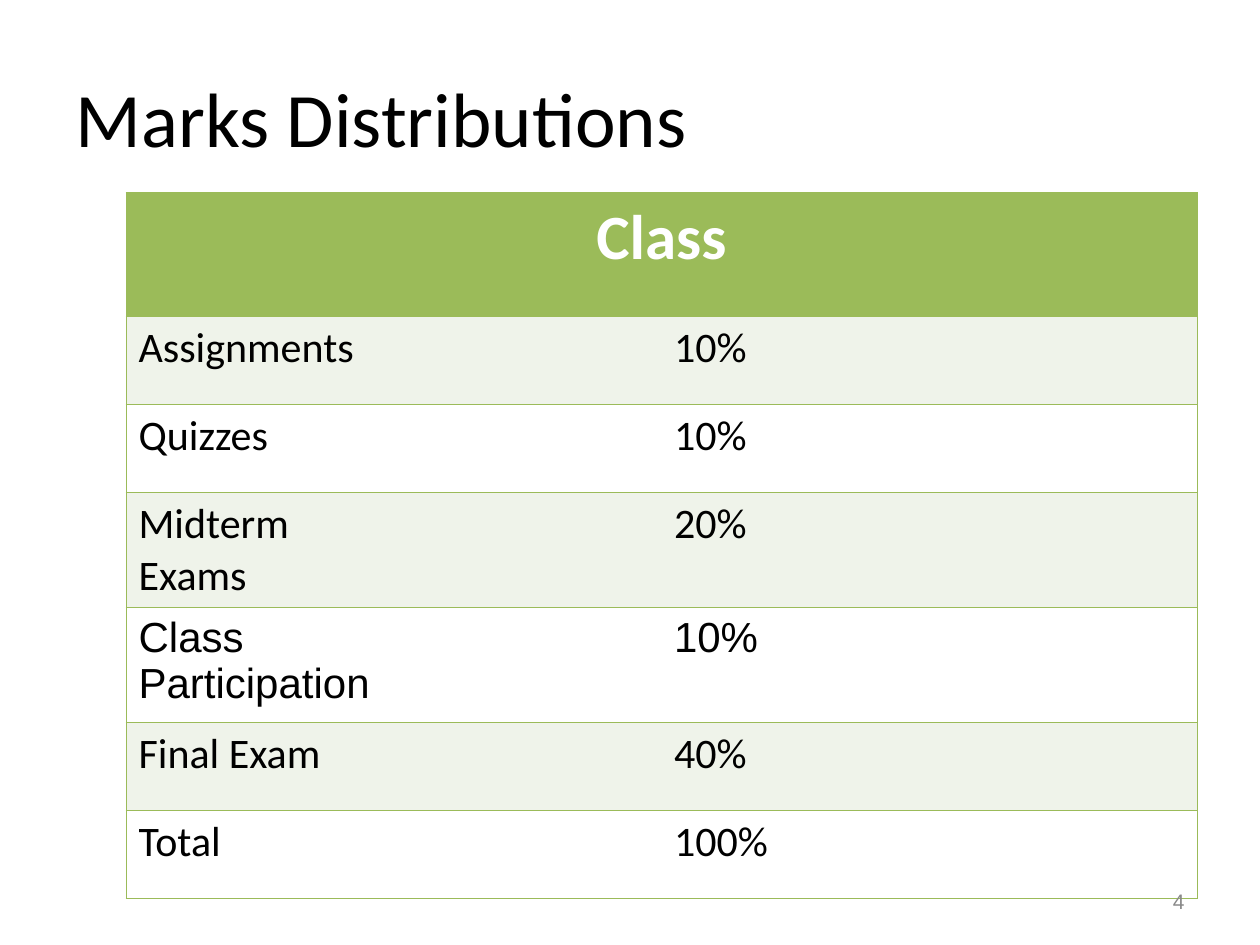
from dataclasses import dataclass

from lxml import etree
from pptx import Presentation
from pptx.dml.color import RGBColor
from pptx.enum.text import MSO_ANCHOR, PP_ALIGN
from pptx.oxml.ns import qn
from pptx.util import Emu, Inches, Pt

LEFT, CENTER, RIGHT = PP_ALIGN.LEFT, PP_ALIGN.CENTER, PP_ALIGN.RIGHT
MIDDLE = MSO_ANCHOR.MIDDLE


@dataclass(frozen=True)
class Theme:
    ink: str = "000000"
    paper: str = "FFFFFF"
    accent: str = "9BBB59"
    band: str = "EFF3EA"
    muted: str = "898989"
    body_font: str = "Calibri"
    plain_font: str = "Arial"
    title_size: int = 44
    header_size: int = 36
    body_size: int = 24
    number_size: int = 12
    rule_width: float = 0.45


@dataclass(frozen=True)
class Mark:
    label: str
    share: str
    height: float = 0.7
    merged: bool = True
    font: str = "Calibri"


@dataclass(frozen=True)
class Area:
    left: float
    top: float
    width: float
    height: float

    def place(self, shape) -> None:
        shape.left, shape.top = Inches(self.left), Inches(self.top)
        shape.width, shape.height = Inches(self.width), Inches(self.height)

    def bounds(self) -> tuple:
        return tuple(Inches(n) for n in (self.left, self.top, self.width, self.height))


THEME = Theme()
TITLE_AREA = Area(0.5, 0.3, 9, 1.25)
TABLE_AREA = Area(1, 1.53, 8.5, 5.58)
NUMBER_AREA = Area(7.17, 6.95, 2.33, 0.4)
COLUMNS = 4
HEADER_HEIGHT = 0.98
MARKS = (
    Mark("Assignments", "10%"),
    Mark("Quizzes", "10%"),
    Mark("Midterm Exams", "20%", 0.91, False),
    Mark("Class Participation", "10%", 0.91, False, THEME.plain_font),
    Mark("Final Exam", "40%"),
    Mark("Total", "100%"),
)


def write(frame, text: str, size: float, color: str, font: str,
          align=LEFT, bold: bool = False) -> None:
    paragraph = frame.paragraphs[0]
    paragraph.alignment = align
    run = paragraph.add_run()
    run.text = text
    run.font.size = Pt(size)
    run.font.name = font
    run.font.bold = bold
    run.font.color.rgb = RGBColor.from_string(color)


def rule_cell(cell, sides: str) -> None:
    properties = cell._tc.get_or_add_tcPr()
    for position, side in enumerate("LRTB"):
        line = etree.Element(qn(f"a:ln{side}"), w=str(Pt(THEME.rule_width)))
        if side in sides:
            fill = etree.SubElement(line, qn("a:solidFill"))
            etree.SubElement(fill, qn("a:srgbClr"), val=THEME.accent)
        else:
            etree.SubElement(line, qn("a:noFill"))
        properties.insert(position, line)


def style_row(table, row: int, color: str) -> None:
    for column in range(COLUMNS):
        cell = table.cell(row, column)
        cell.fill.solid()
        cell.fill.fore_color.rgb = RGBColor.from_string(color)
        left = "L" if column == 0 else ""
        right = "R" if column + cell.span_width == COLUMNS else ""
        rule_cell(cell, left + right + "TB")


def add_mark(table, row: int, mark: Mark) -> None:
    table.rows[row].height = Inches(mark.height)
    for column, text in ((0, mark.label), (2, mark.share)):
        cell = table.cell(row, column)
        if mark.merged:
            cell.merge(table.cell(row, column + 1))
        write(cell.text_frame, text, THEME.body_size, THEME.ink, mark.font)
    style_row(table, row, THEME.band if row % 2 else THEME.paper)


def add_marks_table(slide) -> None:
    table = slide.shapes.add_table(len(MARKS) + 1, COLUMNS, *TABLE_AREA.bounds()).table
    table.first_row = table.horz_banding = False
    for column in table.columns:
        column.width = Emu(Inches(TABLE_AREA.width) // COLUMNS)
    table.rows[0].height = Inches(HEADER_HEIGHT)
    header = table.cell(0, 0)
    header.merge(table.cell(0, COLUMNS - 1))
    write(header.text_frame, "Class", THEME.header_size, THEME.paper,
          THEME.body_font, CENTER, True)
    style_row(table, 0, THEME.accent)
    for row, mark in enumerate(MARKS, 1):
        add_mark(table, row, mark)


def add_title(slide) -> None:
    title = slide.shapes.title
    TITLE_AREA.place(title)
    title.text_frame.vertical_anchor = MIDDLE
    write(title.text_frame, "Marks Distributions", THEME.title_size,
          THEME.ink, THEME.body_font)


def add_page_number(slide) -> None:
    frame = slide.shapes.add_textbox(*NUMBER_AREA.bounds()).text_frame
    frame.word_wrap = True
    frame.vertical_anchor = MIDDLE
    write(frame, "4", THEME.number_size, THEME.muted, THEME.plain_font, RIGHT)


def main() -> None:
    deck = Presentation()
    deck.slide_width, deck.slide_height = Inches(10), Inches(7.5)
    slide = deck.slides.add_slide(deck.slide_layouts[5])
    add_title(slide)
    add_marks_table(slide)
    add_page_number(slide)
    deck.save("out.pptx")


if __name__ == "__main__":
    main()
